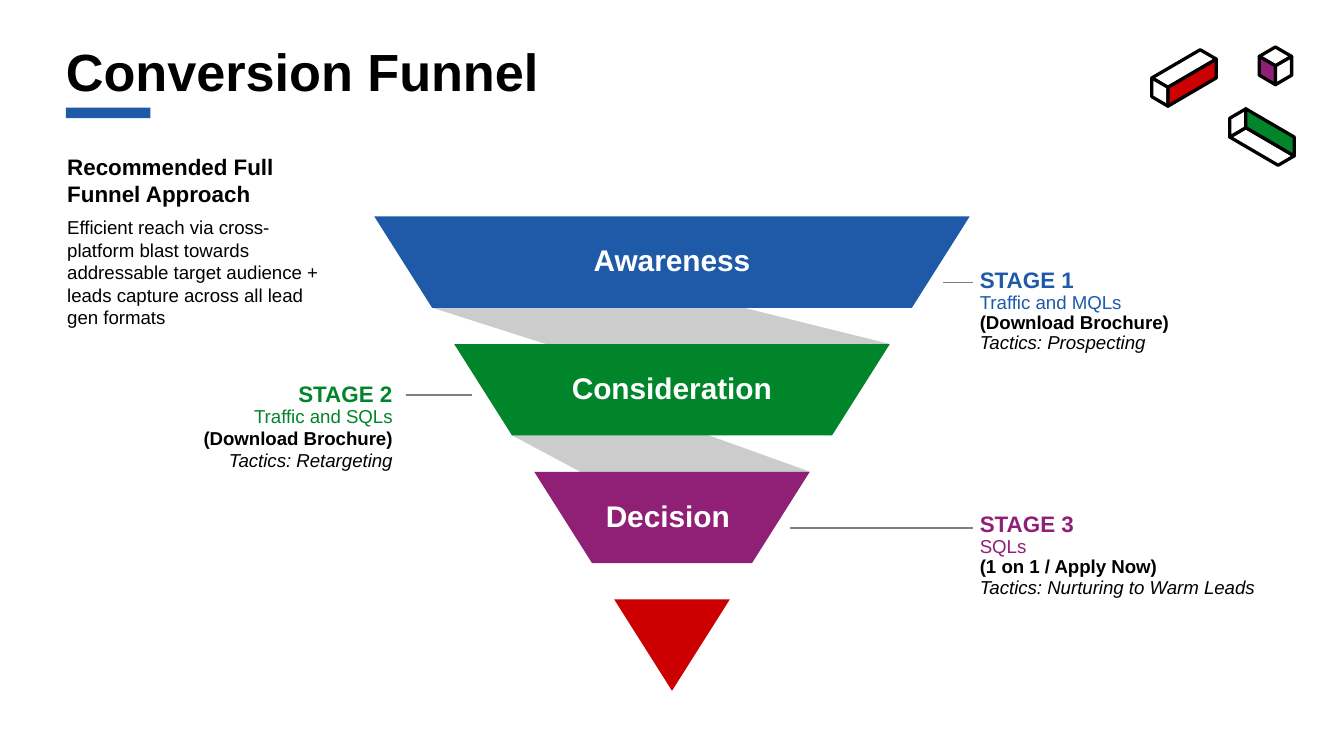
from lxml import etree
from pptx import Presentation
from pptx.dml.color import RGBColor
from pptx.enum.shapes import MSO_CONNECTOR, MSO_SHAPE
from pptx.enum.text import MSO_ANCHOR, PP_ALIGN
from pptx.oxml.ns import qn
from pptx.util import Inches, Pt

LEFT, CENTER, RIGHT = PP_ALIGN.LEFT, PP_ALIGN.CENTER, PP_ALIGN.RIGHT
TOP, MIDDLE = MSO_ANCHOR.TOP, MSO_ANCHOR.MIDDLE
TRAPEZOID, RECTANGLE = MSO_SHAPE.TRAPEZOID, MSO_SHAPE.RECTANGLE
STRAIGHT = MSO_CONNECTOR.STRAIGHT

THEME = {
    "font": "Arial",
    "blue": "1E5AA8", "green": "00852B", "purple": "901F76", "red": "CC0000",
    "black": "000000", "white": "FFFFFF", "fold": "CCCCCC", "rule": "808080",
    "title": 28, "tier": 16, "head": 12, "body": 10,
    "rule_w": 0.75, "icon_w": 1.75,
}

TITLE = "Conversion Funnel"
INTRO = ("Recommended Full Funnel Approach",
         "Efficient reach via cross-platform blast towards addressable target "
         "audience + leads capture across all lead gen formats")
TIERS = [("Awareness", "blue"), ("Consideration", "green"),
         ("Decision ", "purple"), ("", "red")]
STAGES = [
    {"lines": ("STAGE 1", "Traffic and MQLs", "(Download Brochure)", "Tactics: Prospecting"),
     "color": "blue", "at": (7.29, 2, 2.12, 0.64), "align": LEFT, "gap": 0,
     "rule": (7.02, 7.24, 2.1)},
    {"lines": ("STAGE 2", "Traffic and SQLs", "(Download Brochure)", "Tactics: Retargeting"),
     "color": "green", "at": (0.7, 2.85, 2.22, 0.66), "align": RIGHT, "gap": 1,
     "rule": (3.02, 3.51, 2.94)},
    {"lines": ("STAGE 3", "SQLs", "(1 on 1 / Apply Now)", "Tactics: Nurturing to Warm Leads"),
     "color": "purple", "at": (7.29, 3.82, 2.12, 0.64), "align": LEFT, "gap": 0,
     "rule": (5.88, 7.24, 3.93)},
]
BLOCKS = [
    ((9.49, 0.49), (-0.12, -0.07), (0.12, -0.07), (0, 0.14), ("white", "purple", "white")),
    ((8.69, 0.65), (-0.12, -0.07), (0.36, -0.21), (0, 0.14), ("white", "white", "red")),
    ((9.27, 0.95), (-0.12, 0.07), (0.36, 0.21), (0, -0.14), ("white", "white", "green")),
]
SLIDE_W = Inches(10)
SLIDE_H = SLIDE_W * 9 // 16
MARGIN = 0.49
AXIS, FUNNEL_TOP, FUNNEL_W = 5, 1.61, 4.43
TIER_H, TIER_STEP, TIER_SHRINK, TIER_INSET = 0.68, 0.95, 1.19, 0.43
LABEL_W, LABEL_H, LABEL_DROP = 2.94, 0.27, 0.19


def color(name):
    return RGBColor.from_string(THEME[name])


def paint(sp, fill, line=None):
    sp.shadow.inherit = False
    sp.fill.solid()
    sp.fill.fore_color.rgb = color(fill)
    if line:
        sp.line.color.rgb = color(line)
        sp.line.width = Pt(THEME["icon_w"])
    else:
        sp.line.fill.background()


def add_polygon(shapes, points, fill, line=None):
    pts = [(Inches(x), Inches(y)) for x, y in points]
    fb = shapes.build_freeform(*pts[0], scale=1.0)
    fb.add_line_segments(pts[1:], close=True)
    paint(fb.convert_to_shape(), fill, line)


def add_text(shapes, at, lines, align=LEFT, anchor=TOP, spacing=1.0):
    tf = shapes.add_textbox(*map(Inches, at)).text_frame
    tf.word_wrap = True
    tf.vertical_anchor = anchor
    tf.margin_left = tf.margin_right = tf.margin_top = tf.margin_bottom = 0
    for i, (text, size, tint, bold, italic, before) in enumerate(lines):
        p = tf.add_paragraph() if i else tf.paragraphs[0]
        p.alignment = align
        p.line_spacing = spacing
        if before:
            p.space_before = Pt(before)
        r = p.add_run()
        r.text = text
        r.font.name = THEME["font"]
        r.font.size = Pt(THEME[size])
        r.font.color.rgb = color(tint)
        r.font.bold = bold
        r.font.italic = italic


def add_rule(shapes, x1, x2, y):
    ln = shapes.add_connector(STRAIGHT, Inches(x1), Inches(y), Inches(x2), Inches(y))
    ln.line.color.rgb = color("rule")
    ln.line.width = Pt(THEME["rule_w"])
    etree.SubElement(ln._element.spPr, qn("a:effectLst"))


def add_block(shapes, corner, short, long, upright, fills):
    for (a, b), fill in zip(((short, long), (short, upright), (long, upright)), fills):
        steps = ((0, 0), a, (a[0] + b[0], a[1] + b[1]), b)
        add_polygon(shapes, [(corner[0] + dx, corner[1] + dy) for dx, dy in steps],
                    fill, "black")


def tier_box(i):
    w = FUNNEL_W - i * TIER_SHRINK
    return AXIS - w / 2, FUNNEL_TOP + i * TIER_STEP, w, TIER_H


def add_fold(shapes, i):
    x1, y1, _, h = tier_box(i)
    x2, y2, w2, _ = tier_box(i + 1)
    right = x2 + w2
    add_polygon(shapes, [(x1, y1), (right, y2), (right - TIER_INSET, y2 + h),
                         (x1 + TIER_INSET, y1 + h)], "fold")


def add_tier(shapes, i, label, fill):
    box = tier_box(i)
    sp = shapes.add_shape(TRAPEZOID, *map(Inches, box))
    sp.rotation = 180
    sp.adjustments[0] = TIER_INSET / TIER_H
    paint(sp, fill)
    if label:
        add_text(shapes, (AXIS - LABEL_W / 2, box[1] + LABEL_DROP, LABEL_W, LABEL_H),
                 [(label, "tier", "white", True, False, 0)], CENTER, MIDDLE)


def main():
    prs = Presentation()
    prs.slide_width, prs.slide_height = SLIDE_W, SLIDE_H
    shapes = prs.slides.add_slide(prs.slide_layouts[6]).shapes

    bar = shapes.add_shape(RECTANGLE, *map(Inches, (MARGIN, 0.8, 0.63, 0.08)))
    paint(bar, "blue")
    for block in BLOCKS:
        add_block(shapes, *block)
    add_text(shapes, (MARGIN, 0.38, 7.81, 0.38),
             [(TITLE, "title", "black", True, False, 0)], spacing=0.8)
    add_text(shapes, (0.5, 1.14, 1.95, 1.32),
             [(INTRO[0], "head", "black", True, False, 0),
              (INTRO[1], "body", "black", False, False, 5)])

    for i in (1, 0):
        add_fold(shapes, i)
    for i, (label, fill) in enumerate(TIERS):
        add_tier(shapes, i, label, fill)

    for stage in STAGES:
        name, goal, action, tactics = stage["lines"]
        tint, gap = stage["color"], stage["gap"]
        add_text(shapes, stage["at"],
                 [(name, "head", tint, True, False, 0),
                  (goal, "body", tint, False, False, 0),
                  (action, "body", "black", True, False, gap),
                  (tactics, "body", "black", False, True, gap)],
                 stage["align"], spacing=0.9)
        add_rule(shapes, *stage["rule"])

    prs.save("out.pptx")


if __name__ == "__main__":
    main()
